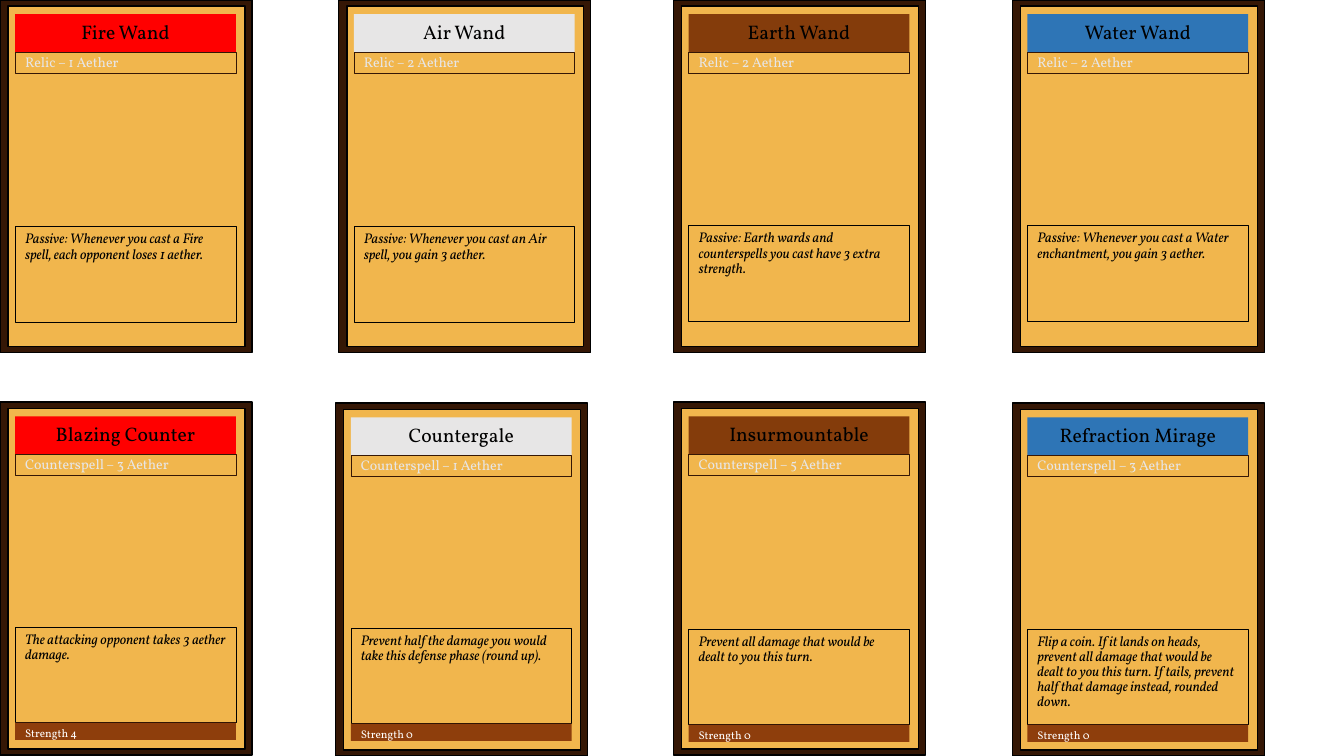
from dataclasses import dataclass

from pptx import Presentation
from pptx.dml.color import RGBColor
from pptx.enum.shapes import MSO_SHAPE
from pptx.enum.text import MSO_ANCHOR, PP_ALIGN
from pptx.util import Inches, Pt

RECTANGLE = MSO_SHAPE.RECTANGLE
TOP, MIDDLE = MSO_ANCHOR.TOP, MSO_ANCHOR.MIDDLE
LEFT, CENTER = PP_ALIGN.LEFT, PP_ALIGN.CENTER


@dataclass(frozen=True)
class Theme:
    font: str = "Vollkorn"
    black: str = "000000"
    white: str = "FFFFFF"
    wood: str = "351705"
    parchment: str = "F1B64D"
    strength: str = "8E3E0C"
    cost: str = "E7E6E6"
    fire: str = "FF0000"
    air: str = "E7E6E6"
    earth: str = "843C0B"
    water: str = "2E75B6"
    title_size: int = 14
    text_size: int = 10
    strength_size: int = 8


@dataclass(frozen=True)
class Card:
    left: float
    top: float
    element: str
    title: str
    cost: str
    rules: str
    rules_top: float
    strength: str = ""


THEME = Theme()
PANEL_INSET, PANEL_WIDTH = 0.15, 2.19
RULES_HEIGHT = 0.95

CARDS = [
    # Wands
    Card(0, 0, THEME.fire, "Fire Wand", "Relic – 1 Aether",
         "Passive: Whenever you cast a Fire spell, each opponent loses 1 aether.", 2.25),
    Card(3.36, 0, THEME.air, "Air Wand", "Relic – 2 Aether",
         "Passive: Whenever you cast an Air spell, you gain 3 aether.", 2.25),
    Card(6.68, 0, THEME.earth, "Earth Wand", "Relic – 2 Aether",
         "Passive: Earth wards and counterspells you cast have 3 extra strength.", 2.24),
    Card(10.04, 0, THEME.water, "Water Wand", "Relic – 2 Aether",
         "Passive: Whenever you cast a Water enchantment, you gain 3 aether.", 2.24),
    # Counterspells
    Card(0, 3.99, THEME.fire, "Blazing Counter", "Counterspell – 3 Aether",
         "The attacking opponent takes 3 aether damage.", 6.22, "Strength 4"),
    Card(3.33, 4, THEME.air, "Countergale", "Counterspell – 1 Aether",
         "Prevent half the damage you would take this defense phase (round up).",
         6.23, "Strength 0"),
    Card(6.68, 3.99, THEME.earth, "Insurmountable", "Counterspell – 5 Aether",
         "Prevent all damage that would be dealt to you this turn.", 6.24, "Strength 0"),
    Card(10.04, 4, THEME.water, "Refraction Mirage", "Counterspell – 3 Aether",
         "Flip a coin. If it lands on heads, prevent all damage that would be dealt "
         "to you this turn. If tails, prevent half that damage instead, rounded down.",
         6.24, "Strength 0"),
]


def add_box(slide, left, top, width, height, fill=None, line=None, line_width=1):
    shape = slide.shapes.add_shape(
        RECTANGLE, Inches(left), Inches(top), Inches(width), Inches(height))
    shape.shadow.inherit = False
    if fill:
        shape.fill.solid()
        shape.fill.fore_color.rgb = RGBColor.from_string(fill)
    else:
        shape.fill.background()
    if line:
        shape.line.color.rgb = RGBColor.from_string(line)
        shape.line.width = Pt(line_width)
    else:
        shape.line.fill.background()
    return shape


def write_text(shape, text, size, color, anchor=TOP, align=LEFT, italic=False):
    frame = shape.text_frame
    frame.text = text
    frame.word_wrap = True
    frame.vertical_anchor = anchor
    frame.margin_left = frame.margin_right = Inches(0.1)
    frame.margin_top = frame.margin_bottom = Inches(0.05)
    paragraph = frame.paragraphs[0]
    paragraph.alignment = align
    paragraph.line_spacing = 0.9
    font = paragraph.runs[0].font
    font.name = THEME.font
    font.size = Pt(size)
    font.italic = italic
    font.color.rgb = RGBColor.from_string(color)


def add_card(slide, card):
    panel_left = card.left + PANEL_INSET

    # Wooden frame and parchment
    add_box(slide, card.left, card.top, 2.5, 3.5, THEME.wood, THEME.black)
    add_box(slide, card.left + 0.08, card.top + 0.06, 2.35, 3.38,
            THEME.parchment, THEME.black)

    # Title and cost
    title = add_box(slide, panel_left, card.top + 0.14, PANEL_WIDTH, 0.38, card.element)
    write_text(title, card.title, THEME.title_size, THEME.black, MIDDLE, CENTER)
    cost = add_box(slide, panel_left, card.top + 0.52, PANEL_WIDTH, 0.21,
                   line=THEME.wood, line_width=0.5)
    write_text(cost, card.cost, THEME.text_size, THEME.cost, MIDDLE)

    # Rules and strength
    rules = add_box(slide, panel_left, card.rules_top, PANEL_WIDTH, RULES_HEIGHT,
                    THEME.parchment, THEME.black, 0.5)
    write_text(rules, card.rules, THEME.text_size, THEME.black, italic=True)
    if card.strength:
        strength = add_box(slide, panel_left, card.rules_top + RULES_HEIGHT,
                           PANEL_WIDTH, 0.17, THEME.strength)
        write_text(strength, card.strength, THEME.strength_size, THEME.white)


def main():
    presentation = Presentation()
    presentation.slide_width = Inches(13.33)
    presentation.slide_height = Inches(7.5)
    blank_layout = presentation.slide_layouts[6]
    slide = presentation.slides.add_slide(blank_layout)
    for card in CARDS:
        add_card(slide, card)
    presentation.save("out.pptx")


if __name__ == "__main__":
    main()
